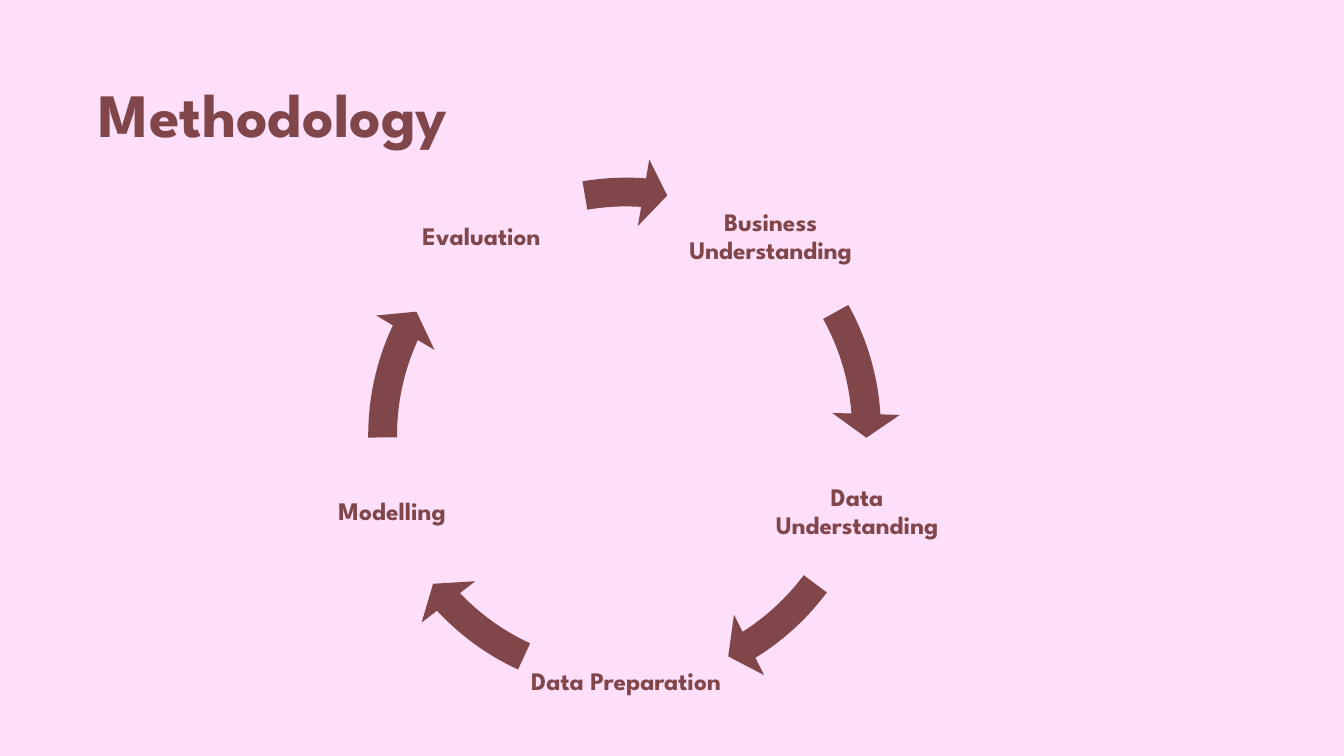
from math import cos, sin, radians
from pptx import Presentation
from pptx.dml.color import RGBColor as Rgb
from pptx.enum.shapes import MSO_SHAPE as Shape
from pptx.enum.text import MSO_ANCHOR as Anchor, PP_ALIGN as Align
from pptx.util import Inches, Pt

WIDE, HIGH = 13.33, 7.5
PINK, WINE = "FDDFF9", "80464A"
FONT = "League Spartan"
TITLE = "Methodology"

# label, label shift, arrow shift, arrow start and end in degrees
STEPS = [
    ("Business Understanding", 0, (-0.03, -0.05), 330.89, 356.13),
    ("Data Understanding", -0.03, (-0.06, 0.03), 36.68, 58.0),
    ("Data Preparation", 0, (0, 0), 114.76, 136.84),
    ("Modelling", 0, (0, 0), 179.52, 204.96),
    ("Evaluation", 0, (0, 0), 260.27, 274.13),
]
MID = (6.21, 4.33)
RADIUS = 2.44
LABEL = (2.04, 1.47)
RING = 5.5
HUB = (6.21, 4.32)
THICK, HEAD, TIP = 0.052, 5.6, 0.061
TURN = 0.6


def paint(fill, tone):
    fill.solid()
    fill.fore_color.rgb = Rgb.from_string(tone)


def write(home, text, box, size, align, pad=None):
    frame = home.add_textbox(*map(Inches, box)).text_frame
    frame.word_wrap = True
    frame.vertical_anchor = Anchor.MIDDLE
    if pad is not None:
        frame.margin_left = frame.margin_right = Inches(pad)
        frame.margin_top = frame.margin_bottom = Inches(pad)
    para = frame.paragraphs[0]
    para.alignment = align
    para.line_spacing = 0.9
    run = para.add_run()
    run.text = text
    run.font.name = FONT
    run.font.size = Pt(size)
    run.font.bold = True
    run.font.color.rgb = Rgb.from_string(WINE)


def arrow(home, shift, start, end):
    left, top = (c + s - RING / 2 for c, s in zip(HUB, shift))
    arc = home.add_shape(Shape.CIRCULAR_ARROW,
                         *map(Inches, (left, top, RING, RING)))
    arc.shadow.inherit = False
    paint(arc.fill, WINE)
    arc.line.fill.background()
    values = (THICK, HEAD * TURN, end * TURN, start * TURN, TIP)
    for i, value in enumerate(values):
        arc.adjustments[i] = value


def main():
    deck = Presentation()
    deck.slide_width, deck.slide_height = Inches(WIDE), Inches(HIGH)
    slide = deck.slides.add_slide(deck.slide_layouts[6])
    paint(slide.background.fill, PINK)
    write(slide.shapes, TITLE, (0.88, 0.44, 11.5, 1.45), 44, Align.LEFT)
    cycle = slide.shapes.add_group_shape().shapes
    wide, high = LABEL
    for i, (name, nudge, shift, start, end) in enumerate(STEPS):
        angle = radians(360 / len(STEPS) * (i + 0.5) - 90)
        left = MID[0] + RADIUS * cos(angle) + nudge - wide / 2
        top = MID[1] + RADIUS * sin(angle) - high / 2
        write(cycle, name, (left, top, wide, high), 18, Align.CENTER, 0.03)
        arrow(cycle, shift, start, end)
    deck.save("out.pptx")


if __name__ == "__main__":
    main()
